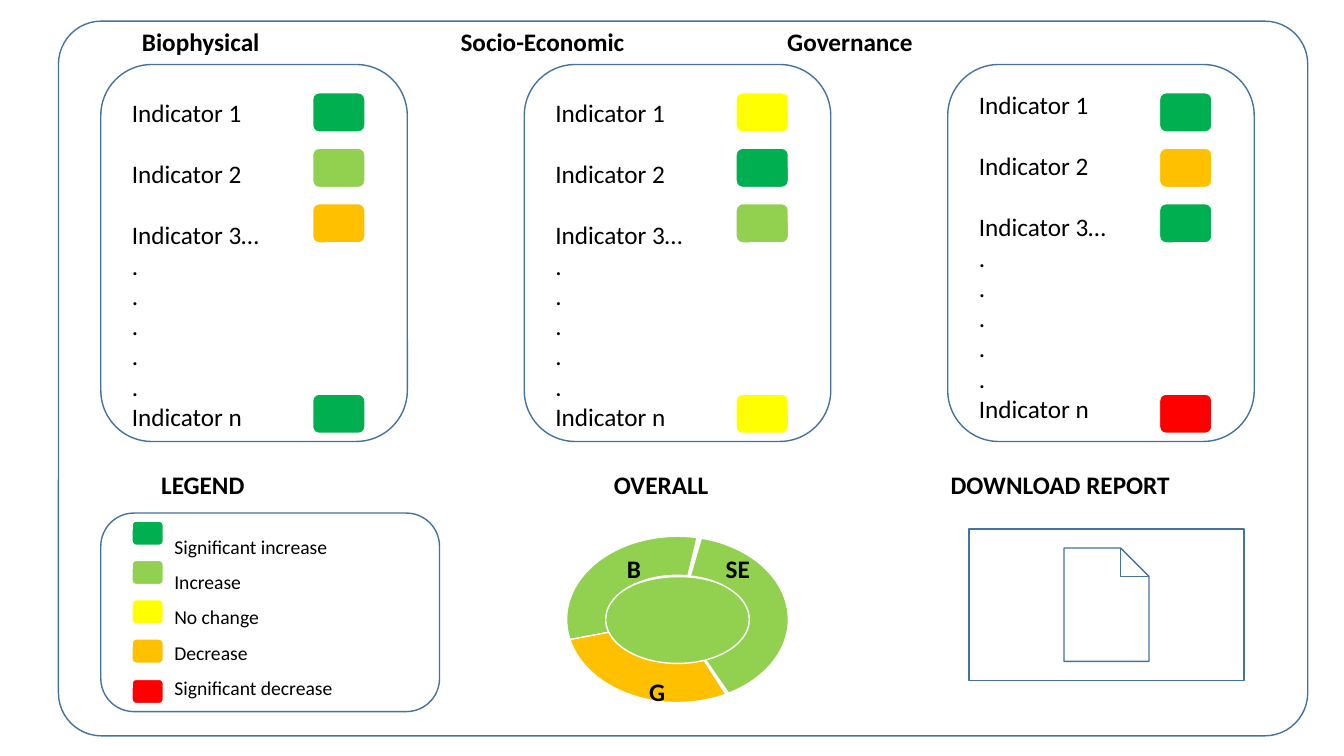
from pptx import Presentation
from pptx.dml.color import RGBColor
from pptx.enum.shapes import MSO_SHAPE as Kind
from pptx.util import Pt

SCALE = 9144
EDGE, WHITE, BLACK = "43739E", "FFFFFF", "000000"
GREEN, LIME, YELLOW, AMBER, RED = "00B050", "92D050", "FFFF00", "FFC000", "FF0000"
TOPICS = [
    ("Biophysical", 131, 28, [GREEN, LIME, AMBER, GREEN]),
    ("Socio-Economic", 447, 28, [YELLOW, GREEN, LIME, YELLOW]),
    ("Governance", 771, 20, [GREEN, AMBER, GREEN, RED]),
]
LEVELS = [("Significant increase", GREEN), ("Increase", LIME), ("No change", YELLOW),
          ("Decrease", AMBER), ("Significant decrease", RED)]
ROWS = ["Indicator 1", "Indicator 2", "Indicator 3…"] + ["."] * 5 + ["Indicator n"]
SECTORS = [(169.26, 283.45, LIME), (286.33, 55.33, LIME), (57.06, 169.42, AMBER)]
LABELS = [("B", 50, 12), ("SE", 148, 12), ("G", 72, 134)]


def px(*sizes):
    return [size * SCALE for size in sizes]


def paint(code):
    return RGBColor.from_string(code)


def draw(slide, kind, box, fill=None, line=WHITE, adjust=()):
    shape = slide.shapes.add_shape(kind, *px(*box))
    shape.shadow.inherit = False
    if fill:
        shape.fill.solid()
        shape.fill.fore_color.rgb = paint(fill)
    else:
        shape.fill.background()
    shape.line.color.rgb = paint(line)
    shape.line.width = Pt(1)
    for i, value in enumerate(adjust):
        shape.adjustments[i] = value


def write(slide, box, lines, size=18, bold=False, wrap=False, spacing=None, gaps=()):
    frame = slide.shapes.add_textbox(*px(*box)).text_frame
    frame.word_wrap = wrap
    style = {"name": "Calibri", "size": Pt(size), "bold": bold}
    for i, line in enumerate(lines):
        para = frame.paragraphs[0] if i == 0 else frame.add_paragraph()
        para.text = line
        if spacing:
            para.line_spacing = spacing
        if i in gaps:
            para.space_before = Pt(22)
        font = para.runs[0].font
        for key, value in style.items():
            setattr(font, key, value)
        font.color.rgb = paint(BLACK)


def head(slide, left, top, text):
    write(slide, (left, top, 260, 40), [text], bold=True)


def panel(slide, box, drop, colours):
    left, top, width, height = box
    draw(slide, Kind.ROUNDED_RECTANGLE, box, line=EDGE)
    write(slide, (left + 21, top + drop, 262, 343), ROWS, wrap=True, gaps=(1, 2))
    for down, colour in zip((28, 83, 138, 327), colours):
        draw(slide, Kind.ROUNDED_RECTANGLE, (left + 210, top + down, 52, 39), colour)


def legend(slide, box):
    left, top, width, height = box
    draw(slide, Kind.ROUNDED_RECTANGLE, box, line=EDGE)
    for i, (name, colour) in enumerate(LEVELS):
        spot = (left + 31, top + 8 + i * 157 // 4, 31, 24)
        draw(slide, Kind.ROUNDED_RECTANGLE, spot, colour)
    write(slide, (left + 63, top + 5, 179, 187), [name for name, _ in LEVELS],
          size=14, spacing=1.5)


def ring(slide, box):
    left, top, width, height = box
    draw(slide, Kind.OVAL, (left + 35, top + 40, 152, 87), LIME)
    for start, end, colour in SECTORS:
        draw(slide, Kind.BLOCK_ARC, box, colour, adjust=(start * 0.6, end * 0.6, 0.235))
    for text, right, down in LABELS:
        write(slide, (left + right, top + down, 50, 40), [text], bold=True)


def main():
    deck = Presentation()
    deck.slide_width, deck.slide_height = px(1333, 750)
    slide = deck.slides.add_slide(deck.slide_layouts[6])
    draw(slide, Kind.ROUNDED_RECTANGLE, (58, 21, 1239, 709), line=EDGE, adjust=[0.06])
    for i, (name, left, drop, colours) in enumerate(TOPICS):
        head(slide, left, 21, name)
        panel(slide, (100 + 420 * i, 64, 304, 374), drop, colours)
    for name, left in (("LEGEND", 150), ("OVERALL", 599), ("DOWNLOAD REPORT", 933)):
        head(slide, left, 461, name)
    legend(slide, (100, 509, 336, 197))
    ring(slide, (562, 532, 220, 165))
    draw(slide, Kind.ACTION_BUTTON_DOCUMENT, (961, 525, 273, 150), line=EDGE)
    deck.save("out.pptx")


if __name__ == "__main__":
    main()
